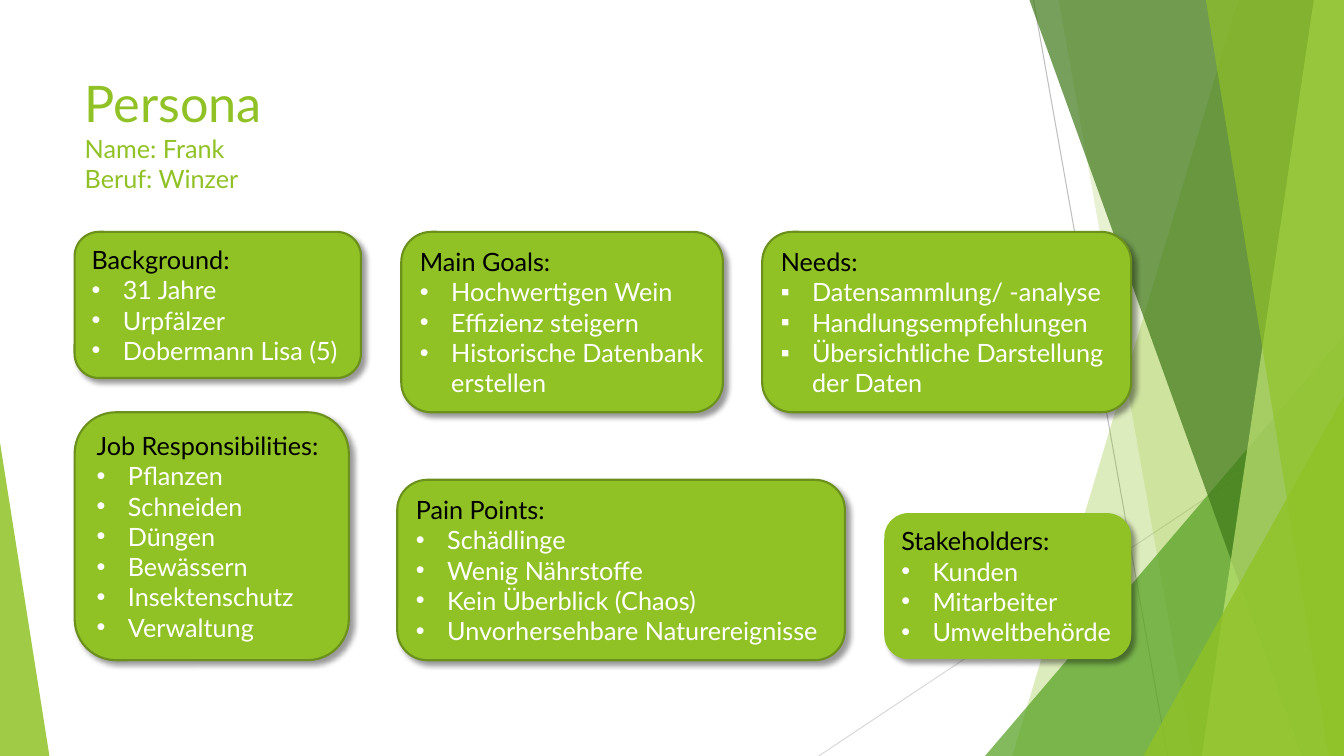
from dataclasses import dataclass

from lxml.etree import SubElement
from pptx import Presentation
from pptx.dml.color import RGBColor
from pptx.enum.shapes import MSO_CONNECTOR, MSO_SHAPE
from pptx.enum.text import MSO_ANCHOR, MSO_AUTO_SIZE, PP_ALIGN
from pptx.oxml.ns import qn
from pptx.slide import Slide
from pptx.util import Inches, Pt

WIDTH, HEIGHT = 13.33, 7.5
FONT = "Lato"
TEXT_SIZE, TITLE_SIZE = Pt(18), Pt(36)
BULLET_INDENT = Inches(0.31)
COLORS = {
    "green": "90C226",
    "outline": "6B901C",
    "mid": "54A021",
    "dark": "3F7819",
    "light": "C0E474",
    "ray": "BFBFBF",
    "pale_ray": "D9D9D9",
    "heading": "000000",
    "item": "FFFFFF",
    "shadow": "000000",
}


@dataclass
class Ray:
    start: tuple[float, float]
    end: tuple[float, float]
    color: str


@dataclass
class Band:
    """Area from a slanted left edge to the right side of the slide."""
    top_x: float
    bottom_x: float
    color: str
    opacity: int


@dataclass
class Wedge:
    """Right-angled triangle standing on the bottom of the slide."""
    left: float
    top: float
    width: float
    apex: float
    color: str
    opacity: int


@dataclass
class Card:
    left: float
    top: float
    width: float
    height: float
    heading: str
    items: list[str]
    bullet: str = "•"
    outlined: bool = True


DECORATION = [
    Ray((10.25, 0), (11.58, HEIGHT), "ray"),
    Ray((WIDTH, 4.03), (8.12, HEIGHT), "pale_ray"),
    Band(12.28, 10.04, "green", 30),
    Band(10.5, 11.83, "green", 20),
    Wedge(9.77, 3.33, 3.56, 1, "mid", 72),
    Band(10.21, 12.91, "dark", 70),
    Band(13.03, 11.92, "light", 70),
    Band(11.96, 13.18, "green", 65),
    Wedge(11.34, 3.93, 1.99, 1, "green", 80),
    Wedge(0, 4.39, 0.49, 0, "green", 85),
]

CARDS = [
    Card(0.74, 2.3, 2.84, 1.45, "Background:",
         ["31 Jahre", "Urpfälzer", "Dobermann Lisa (5)"]),
    Card(7.56, 2.3, 3.66, 1.79, "Needs:",
         ["Datensammlung/ -analyse", "Handlungsempfehlungen",
          "Übersichtliche Darstellung\vder Daten"], bullet="▪"),
    Card(3.98, 2.3, 3.19, 1.79, "Main Goals:",
         ["Hochwertigen Wein", "Effizienz steigern",
          "Historische Datenbank\verstellen"]),
    Card(8.77, 5.09, 2.45, 1.45, "Stakeholders:",
         ["Kunden", "Mitarbeiter", "Umweltbehörde"], outlined=False),
    Card(3.94, 4.76, 4.44, 1.79, "Pain Points:",
         ["Schädlinge", "Wenig Nährstoffe", "Kein Überblick (Chaos)",
          "Unvorhersehbare Naturereignisse"]),
    Card(0.74, 4.09, 2.72, 2.46, "Job Responsibilities:",
         ["Pflanzen", "Schneiden", "Düngen", "Bewässern",
          "Insektenschutz", "Verwaltung"]),
]


def rgb(name: str) -> RGBColor:
    return RGBColor.from_string(COLORS[name])


def fill_glass(shape, color: str, opacity: int) -> None:
    shape.shadow.inherit = False
    shape.line.fill.background()
    shape.fill.solid()
    shape.fill.fore_color.rgb = rgb(color)
    tint = shape._element.spPr.find(f"{qn('a:solidFill')}/{qn('a:srgbClr')}")
    SubElement(tint, qn("a:alpha"), val=str(opacity * 1000))


def draw_ray(slide: Slide, ray: Ray) -> None:
    line = slide.shapes.add_connector(
        MSO_CONNECTOR.STRAIGHT, *map(Inches, ray.start + ray.end))
    line.line.color.rgb = rgb(ray.color)
    line.line.width = Pt(0.75)
    SubElement(line._element.spPr, qn("a:effectLst"))


def draw_band(slide: Slide, band: Band) -> None:
    outline = slide.shapes.build_freeform(Inches(band.top_x), 0)
    corners = [(WIDTH, 0), (WIDTH, HEIGHT), (band.bottom_x, HEIGHT)]
    outline.add_line_segments([(Inches(x), Inches(y)) for x, y in corners])
    fill_glass(outline.convert_to_shape(), band.color, band.opacity)


def draw_wedge(slide: Slide, wedge: Wedge) -> None:
    triangle = slide.shapes.add_shape(
        MSO_SHAPE.ISOSCELES_TRIANGLE, Inches(wedge.left), Inches(wedge.top),
        Inches(wedge.width), Inches(HEIGHT - wedge.top))
    triangle.adjustments[0] = wedge.apex
    fill_glass(triangle, wedge.color, wedge.opacity)


def format_runs(paragraph, color: str) -> None:
    for run in paragraph.runs:
        run.font.name = FONT
        run.font.size = TEXT_SIZE
        run.font.color.rgb = rgb(color)
    for line_break in paragraph._p.findall(qn("a:br")):
        SubElement(line_break, qn("a:rPr"), sz=str(int(TEXT_SIZE.pt * 100)))


def add_bullet(paragraph, bullet: str) -> None:
    properties = paragraph._p.get_or_add_pPr()
    properties.set("marL", str(BULLET_INDENT))
    properties.set("indent", str(-BULLET_INDENT))
    SubElement(properties, qn("a:buFont"), typeface="Arial")
    SubElement(properties, qn("a:buChar"), char=bullet)


def add_shadow(shape) -> None:
    shape.shadow.inherit = False
    effects = shape._element.spPr.find(qn("a:effectLst"))
    shadow = SubElement(effects, qn("a:outerShdw"), blurRad=str(Pt(4)),
                        dist=str(Pt(4)), dir="2700000", algn="tl", rotWithShape="0")
    tint = SubElement(shadow, qn("a:srgbClr"), val=COLORS["shadow"])
    SubElement(tint, qn("a:alpha"), val="40000")


def draw_card(slide: Slide, card: Card) -> None:
    box = slide.shapes.add_shape(
        MSO_SHAPE.ROUNDED_RECTANGLE,
        *map(Inches, (card.left, card.top, card.width, card.height)))
    box.fill.solid()
    box.fill.fore_color.rgb = rgb("green")
    if card.outlined:
        box.line.color.rgb = rgb("outline")
        box.line.width = Pt(1.5)
    else:
        box.line.fill.background()
    add_shadow(box)

    frame = box.text_frame
    frame.text = "\n".join([card.heading, *card.items])
    frame.word_wrap = False
    frame.auto_size = MSO_AUTO_SIZE.SHAPE_TO_FIT_TEXT
    frame.vertical_anchor = MSO_ANCHOR.MIDDLE
    for index, paragraph in enumerate(frame.paragraphs):
        paragraph.alignment = PP_ALIGN.LEFT
        format_runs(paragraph, "item" if index else "heading")
        if index:
            add_bullet(paragraph, card.bullet)


def write_title(slide: Slide) -> None:
    title = slide.shapes.title
    title.left, title.top, title.width, title.height = map(
        Inches, (0.74, 0.67, 9.4, 1.44))
    frame = title.text_frame
    frame.text = "Persona\vName: Frank\vBeruf: Winzer"
    frame.auto_size = MSO_AUTO_SIZE.NONE
    frame.vertical_anchor = MSO_ANCHOR.TOP
    persona = frame.paragraphs[0]
    persona.alignment = PP_ALIGN.LEFT
    format_runs(persona, "green")
    persona.runs[0].font.size = TITLE_SIZE


def main() -> None:
    presentation = Presentation()
    presentation.slide_width = Inches(WIDTH)
    presentation.slide_height = Inches(HEIGHT)
    slide = presentation.slides.add_slide(presentation.slide_layouts[5])
    painters = {Ray: draw_ray, Band: draw_band, Wedge: draw_wedge}
    for part in DECORATION:
        painters[type(part)](slide, part)
    write_title(slide)
    for card in CARDS:
        draw_card(slide, card)
    presentation.save("out.pptx")


if __name__ == "__main__":
    main()
